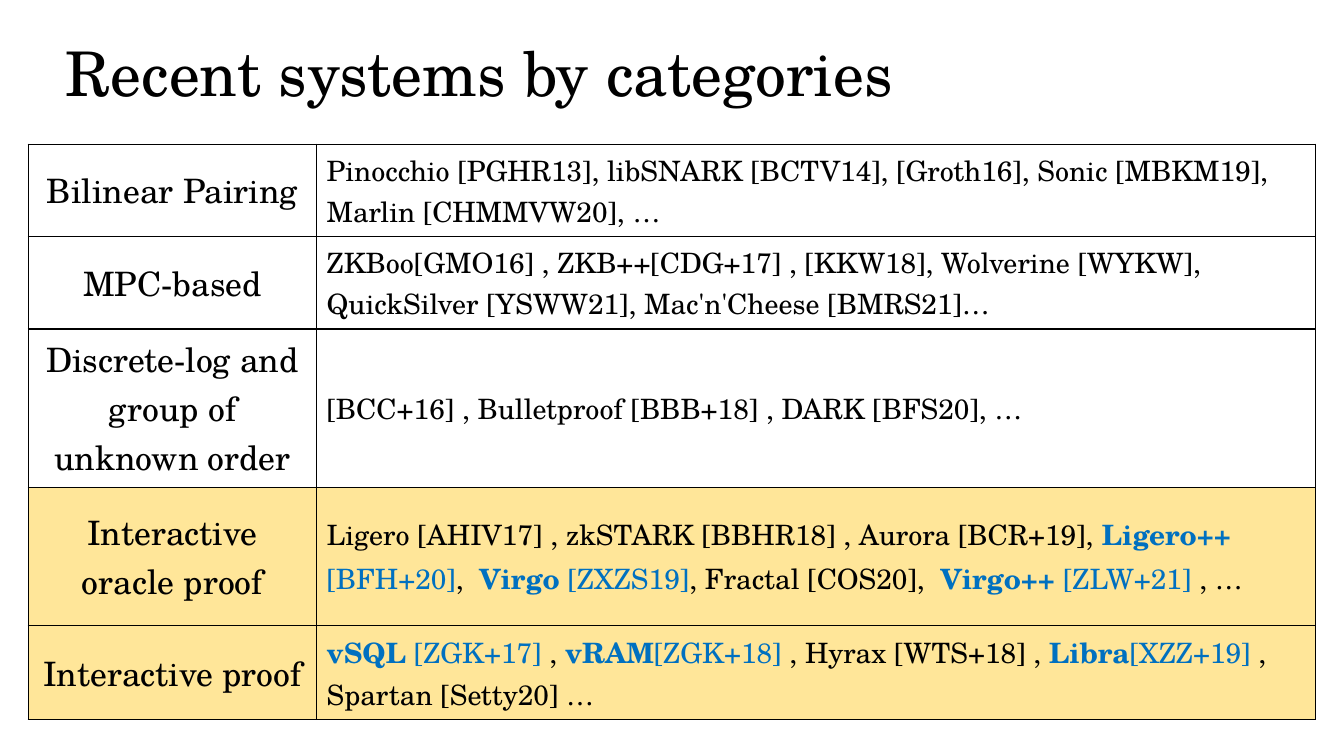
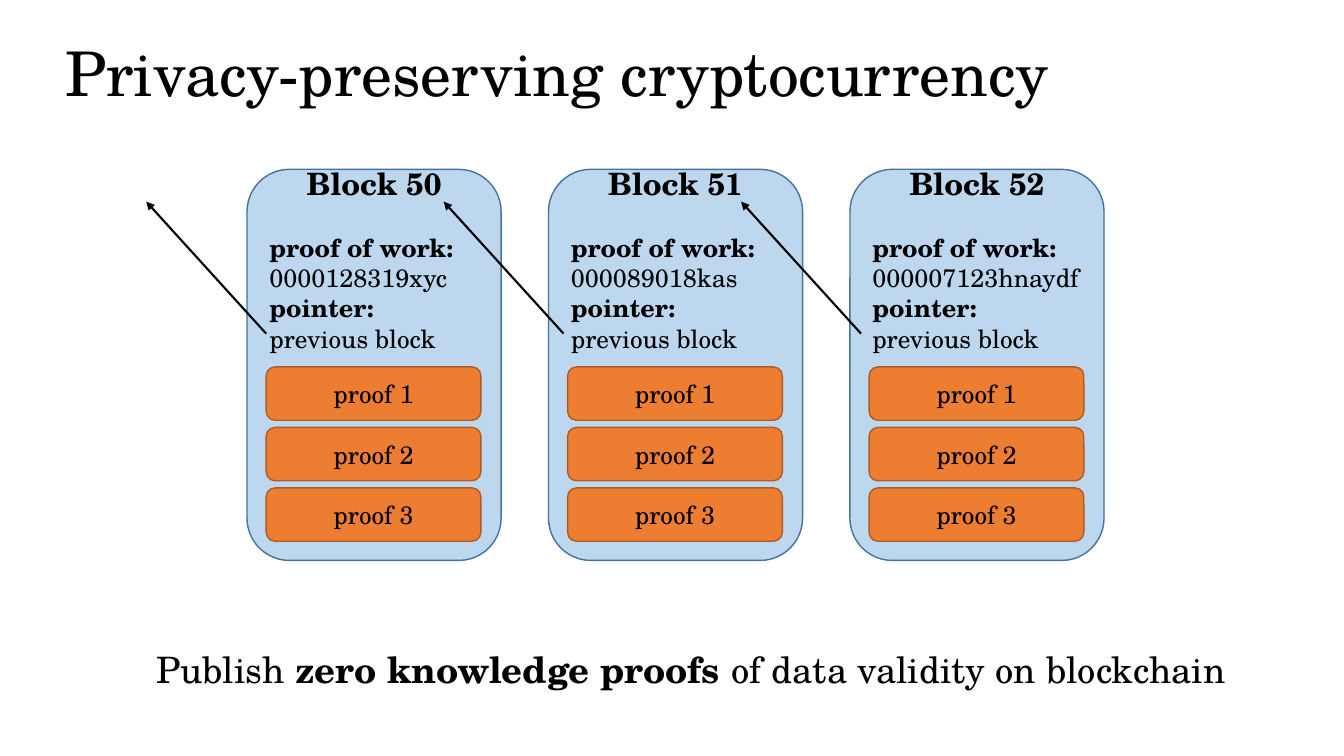
from lxml import etree
from pptx import Presentation
from pptx.dml.color import RGBColor
from pptx.enum import shapes, text
from pptx.oxml import ns
from pptx.util import Inches, Pt


class Theme:
    font = "TeX Gyre Schola"
    black = RGBColor.from_string("000000")
    white = RGBColor.from_string("FFFFFF")
    blue = RGBColor.from_string("0070C0")
    gold = RGBColor.from_string("FFE699")
    sky = RGBColor.from_string("BDD7EE")
    navy = RGBColor.from_string("43739E")
    orange = RGBColor.from_string("ED7D31")
    rust = RGBColor.from_string("AF5C24")
    title, close, label, head, list, body = 44, 26, 24, 22, 20, 18


def put(frame, runs, size=Theme.body, bold=False, align=text.PP_ALIGN.LEFT,
        lead=1.0, before=0, anchor=text.MSO_ANCHOR.MIDDLE):
    para = frame.add_paragraph() if frame.text else frame.paragraphs[0]
    frame.word_wrap = True
    frame.vertical_anchor = anchor
    para.alignment = align
    para.line_spacing = lead
    para.space_before = Pt(before)
    if isinstance(runs, str):
        runs = [(runs, bold, Theme.black)]
    for words, strong, color in runs:
        run = para.add_run()
        run.text = words
        run.font.name = Theme.font
        run.font.size = Pt(size)
        run.font.bold = strong
        run.font.color.rgb = color


def box(slide, left, top, width, height, fill, line):
    shape = slide.shapes.add_shape(
        shapes.MSO_SHAPE.ROUNDED_RECTANGLE,
        Inches(left), Inches(top), Inches(width), Inches(height))
    shape.shadow.inherit = False
    shape.fill.solid()
    shape.fill.fore_color.rgb = fill
    shape.line.color.rgb = line
    shape.line.width = Pt(1)
    return shape


deck = Presentation()
deck.slide_width = Inches(13.33)
deck.slide_height = Inches(7.5)
layout = deck.slide_layouts[5]
slides = []
for name in ("Recent systems by categories", "Privacy-preserving cryptocurrency"):
    slide = deck.slides.add_slide(layout)
    title = slide.shapes.title
    title.left, title.top = Inches(0.55), Inches(0.15)
    title.width, title.height = Inches(11.87), Inches(1.21)
    put(title.text_frame, name, size=Theme.title, lead=0.9)
    slides.append(slide)
survey, chain = slides

rows = [
    ("Bilinear Pairing", 0.91, Theme.white,
     "Pinocchio [PGHR13], libSNARK [BCTV14], [Groth16], Sonic [MBKM19], "
     "Marlin [CHMMVW20], …"),
    ("MPC-based", 0.91, Theme.white,
     "ZKBoo[GMO16] , ZKB++[CDG+17] , [KKW18], Wolverine [WYKW], "
     "QuickSilver [YSWW21], Mac'n'Cheese [BMRS21]…"),
    ("Discrete-log and group of unknown order", 1.57, Theme.white,
     "[BCC+16] , Bulletproof [BBB+18] , DARK [BFS20], …"),
    ("Interactive oracle proof", 1.37, Theme.gold, [
        ("Ligero [AHIV17] , zkSTARK [BBHR18] , Aurora [BCR+19], ",
         False, Theme.black),
        ("Ligero++", True, Theme.blue),
        (" [BFH+20]", False, Theme.blue),
        (",  ", False, Theme.black),
        ("Virgo", True, Theme.blue),
        (" [ZXZS19]", False, Theme.blue),
        (", Fractal [COS20],  ", False, Theme.black),
        ("Virgo++ ", True, Theme.blue),
        ("[ZLW+21] ", False, Theme.blue),
        (", …", False, Theme.black)]),
    ("Interactive proof", 0.93, Theme.gold, [
        ("vSQL", True, Theme.blue),
        (" [ZGK+17] ", False, Theme.blue),
        (", ", False, Theme.black),
        ("vRAM", True, Theme.blue),
        ("[ZGK+18] ", False, Theme.blue),
        (", Hyrax [WTS+18] , ", False, Theme.black),
        ("Libra", True, Theme.blue),
        ("[XZZ+19] ", False, Theme.blue),
        (", Spartan [Setty20] …", False, Theme.black)]),
]
high = sum(row[1] for row in rows)
table = survey.shapes.add_table(
    len(rows), 2, Inches(0.28), Inches(1.43), Inches(12.77), Inches(high)).table
table.first_row = False
table.horz_banding = False
table.columns[0].width = Inches(2.86)
table.columns[1].width = Inches(9.91)
for row, (kind, tall, fill, works) in zip(table.rows, rows):
    row.height = Inches(tall)
    left, right = row.cells
    for cell in (left, right):
        props = cell._tc.get_or_add_tcPr()
        for side in ("a:lnL", "a:lnR", "a:lnT", "a:lnB"):
            edge = etree.SubElement(props, ns.qn(side), w=str(Pt(1)))
            paint = etree.SubElement(edge, ns.qn("a:solidFill"))
            etree.SubElement(paint, ns.qn("a:srgbClr"), val=str(Theme.black))
        cell.fill.solid()
        cell.fill.fore_color.rgb = fill
        cell.vertical_anchor = text.MSO_ANCHOR.MIDDLE
    put(left.text_frame, kind, size=Theme.label, align=text.PP_ALIGN.CENTER)
    put(right.text_frame, works, size=Theme.list)

blocks = [("Block 50", "0000128319xyc"), ("Block 51", "000089018kas"),
          ("Block 52", "000007123hnaydf")]
for col, (name, work) in enumerate(blocks):
    x = 2.45 + 2.99 * col
    block = box(chain, x, 1.68, 2.52, 3.88, Theme.sky, Theme.navy)
    frame = block.text_frame
    frame.margin_top = 0
    frame.margin_bottom = Inches(2.1)
    put(frame, name, size=Theme.head, bold=True, align=text.PP_ALIGN.CENTER)
    put(frame, "proof of work:", bold=True, before=21.6)
    put(frame, work)
    put(frame, "pointer:", bold=True)
    put(frame, "previous block")
    for step in range(3):
        proof = box(chain, x + 0.19, 3.64 + 0.6 * step, 2.13, 0.53,
                    Theme.orange, Theme.rust)
        put(proof.text_frame, f"proof {step + 1}", align=text.PP_ALIGN.CENTER)

for col in range(len(blocks)):
    x, y = 2.64 + 2.95 * col, 3.31
    arrow = chain.shapes.add_connector(
        shapes.MSO_CONNECTOR.STRAIGHT,
        Inches(x), Inches(y), Inches(x - 1.19), Inches(y - 1.31))
    arrow.line.color.rgb = Theme.black
    arrow.line.width = Pt(1.5)
    etree.SubElement(arrow.line._get_or_add_ln(), ns.qn("a:tailEnd"), type="triangle")
    etree.SubElement(arrow._element.spPr, ns.qn("a:effectLst"))

close = chain.shapes.add_textbox(
    Inches(1.45), Inches(6.37), Inches(11.13), Inches(0.54))
put(close.text_frame,
    [("Publish ", False, Theme.black),
     ("zero knowledge proofs ", True, Theme.black),
     ("of data validity on blockchain", False, Theme.black)],
    size=Theme.close, anchor=text.MSO_ANCHOR.TOP)

deck.save("out.pptx")
